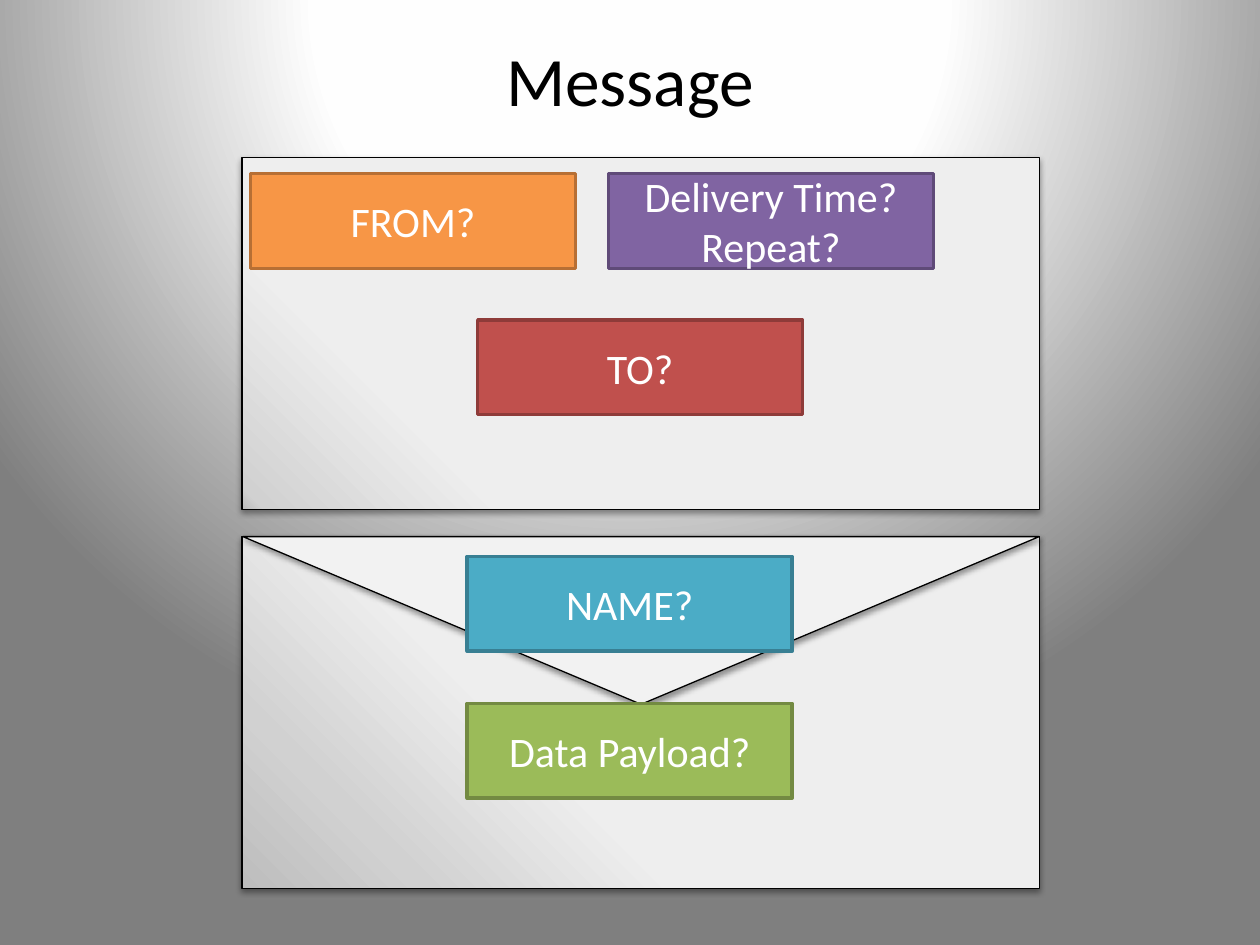
from pptx import Presentation, oxml, util as u
from pptx.dml import color as dml
from pptx.enum import shapes, text
from pptx.oxml import ns

KIND = shapes.MSO_SHAPE
MID = text.MSO_ANCHOR.MIDDLE
SHADE = 0.74


def rgb(code):
    return dml.RGBColor.from_string(code)


def darker(code):
    parts = (int(code[i:i + 2], 16) for i in (0, 2, 4))
    return "".join(f"{round(part * SHADE):02X}" for part in parts)


def blend(fill, root, stops, way):
    """Give the fill under root a gradient of (percent, colour) stops."""
    fill.gradient()
    marks = "".join(f'<a:gs pos="{at * 1000}"><a:srgbClr val="{code}"/></a:gs>'
                    for at, code in stops)
    old = root.find(".//" + ns.qn("a:gradFill"))
    new = oxml.parse_xml(f'<a:gradFill {ns.nsdecls("a")} rotWithShape="1">'
                         f'<a:gsLst>{marks}</a:gsLst>{way}</a:gradFill>')
    old.getparent().replace(old, new)


class Deck:
    face = "Calibri"

    def __init__(self):
        self.prs = Presentation()
        self.prs.slide_width, self.prs.slide_height = u.Cm(25.4), u.Cm(19.05)
        self.slide = self.prs.slides.add_slide(self.prs.slide_layouts[6])

    def back(self, stops):
        way = ('<a:path path="circle"><a:fillToRect l="50000" t="-80000" '
               'r="50000" b="180000"/></a:path>')
        blend(self.slide.background.fill, self.slide.element, stops, way)

    def words(self, shape, copy, size, ink, **form):
        frame = shape.text_frame
        frame.text = copy
        for key, val in {"word_wrap": True, **form}.items():
            setattr(frame, key, val)
        for para in frame.paragraphs:
            para.alignment = text.PP_ALIGN.CENTER
            for key, val in {"name": self.face, "size": u.Pt(size)}.items():
                setattr(para.font, key, val)
            para.font.color.rgb = rgb(ink)

    def title(self, name, *area):
        box = self.slide.shapes.add_textbox(*map(u.Cm, area))
        self.words(box, name, 39.6, "000000", margin_top=0,
                   vertical_anchor=text.MSO_ANCHOR.TOP)

    def shape(self, kind, area, edge, width):
        item = self.slide.shapes.add_shape(kind, *map(u.Cm, area))
        item.shadow.inherit = False
        item.line.color.rgb = rgb(edge)
        item.line.width = u.Pt(width)
        return item

    def paper(self, kind, *area):
        """Add an envelope part: thin black edge and a soft shadow."""
        item = self.shape(kind, area, "000000", 0.75)
        glow = item.element.spPr.find(ns.qn("a:effectLst"))
        glow.append(oxml.parse_xml(
            f'<a:outerShdw {ns.nsdecls("a")} blurRad="40000" dist="20000" '
            'dir="5400000" rotWithShape="0"><a:srgbClr val="000000">'
            '<a:alpha val="38000"/></a:srgbClr></a:outerShdw>'))
        return item

    def sheet(self, top, mid, end):
        item = self.paper(KIND.RECTANGLE, 4.88, top, 16.08, 7.09)
        stops = (0, "BDBDBD"), (mid, "D1D1D1"), (end, "EEEEEE")
        blend(item.fill, item.element, stops,
              '<a:lin ang="18900000" scaled="0"/>')

    def flap(self, *area):
        item = self.paper(KIND.ISOSCELES_TRIANGLE, *area)
        item.fill.solid()
        item.fill.fore_color.rgb = rgb("F2F2F2")
        for key in ("flipH", "flipV"):
            item.element.spPr.xfrm.set(key, "1")

    def label(self, name, left, top, tint):
        item = self.shape(KIND.RECTANGLE, (left, top, 6.55, 1.91),
                          darker(tint), 2)
        item.fill.solid()
        item.fill.fore_color.rgb = rgb(tint)
        self.words(item, name, 24, "FFFFFF", vertical_anchor=MID)


def main():
    deck = Deck()
    deck.back([(0, "FFFFFF"), (40, "FEFEFE"), (100, "7F7F7F")])
    deck.title("Message", 1.27, 0.76, 22.86, 3.18)

    deck.sheet(3.18, 2, 23)
    deck.label("FROM?", 5.05, 3.5, "F79646")
    deck.label("TO?", 9.63, 6.45, "C0504D")
    deck.label("Delivery Time?\nRepeat?", 12.27, 3.5, "8064A2")

    deck.sheet(10.82, 16, 38)
    deck.flap(4.9, 10.82, 16.05, 3.38)
    deck.label("NAME?", 9.42, 11.22, "4BACC6")
    deck.label("Data Payload?", 9.42, 14.18, "9BBB59")
    deck.prs.save("out.pptx")


if __name__ == "__main__":
    main()
